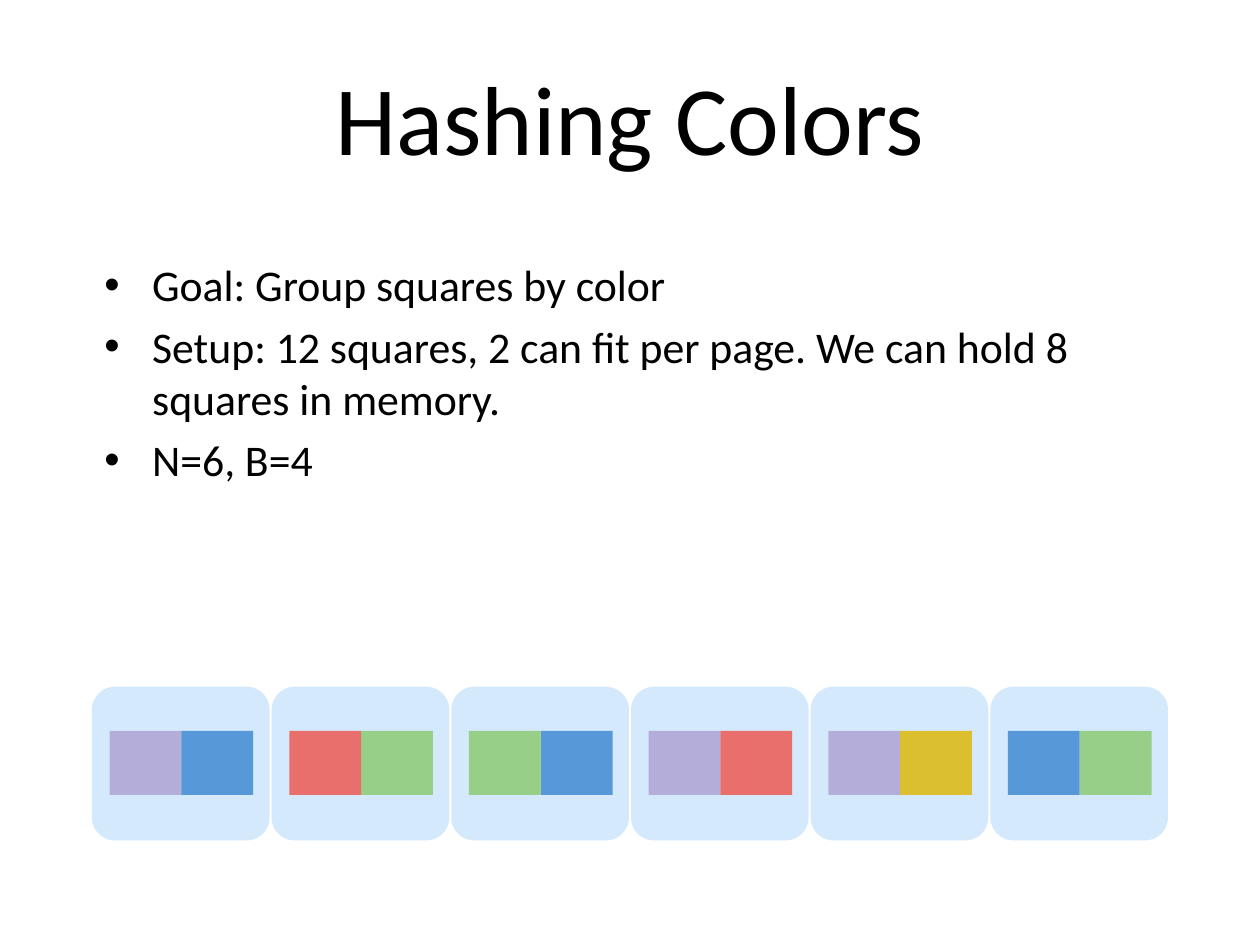
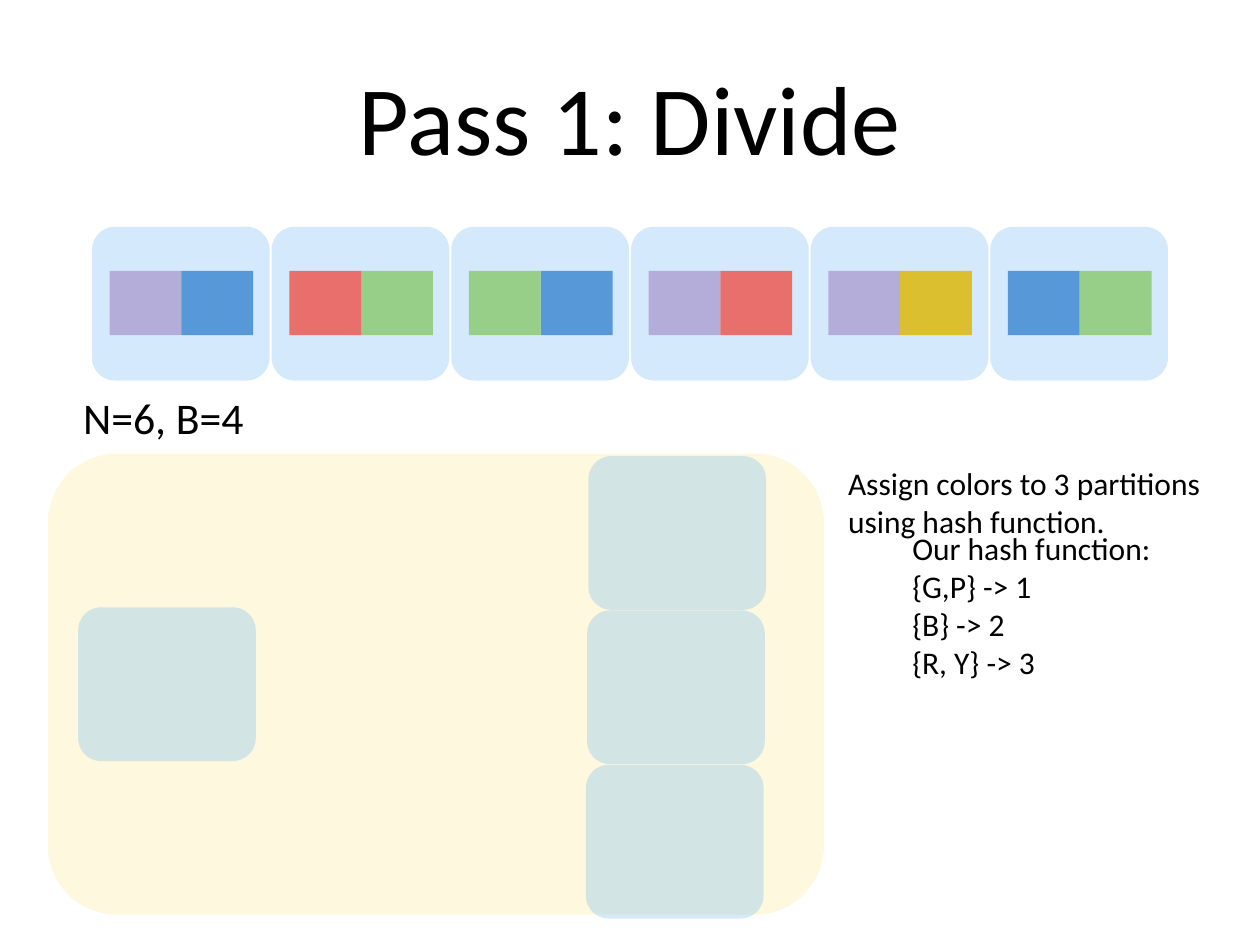
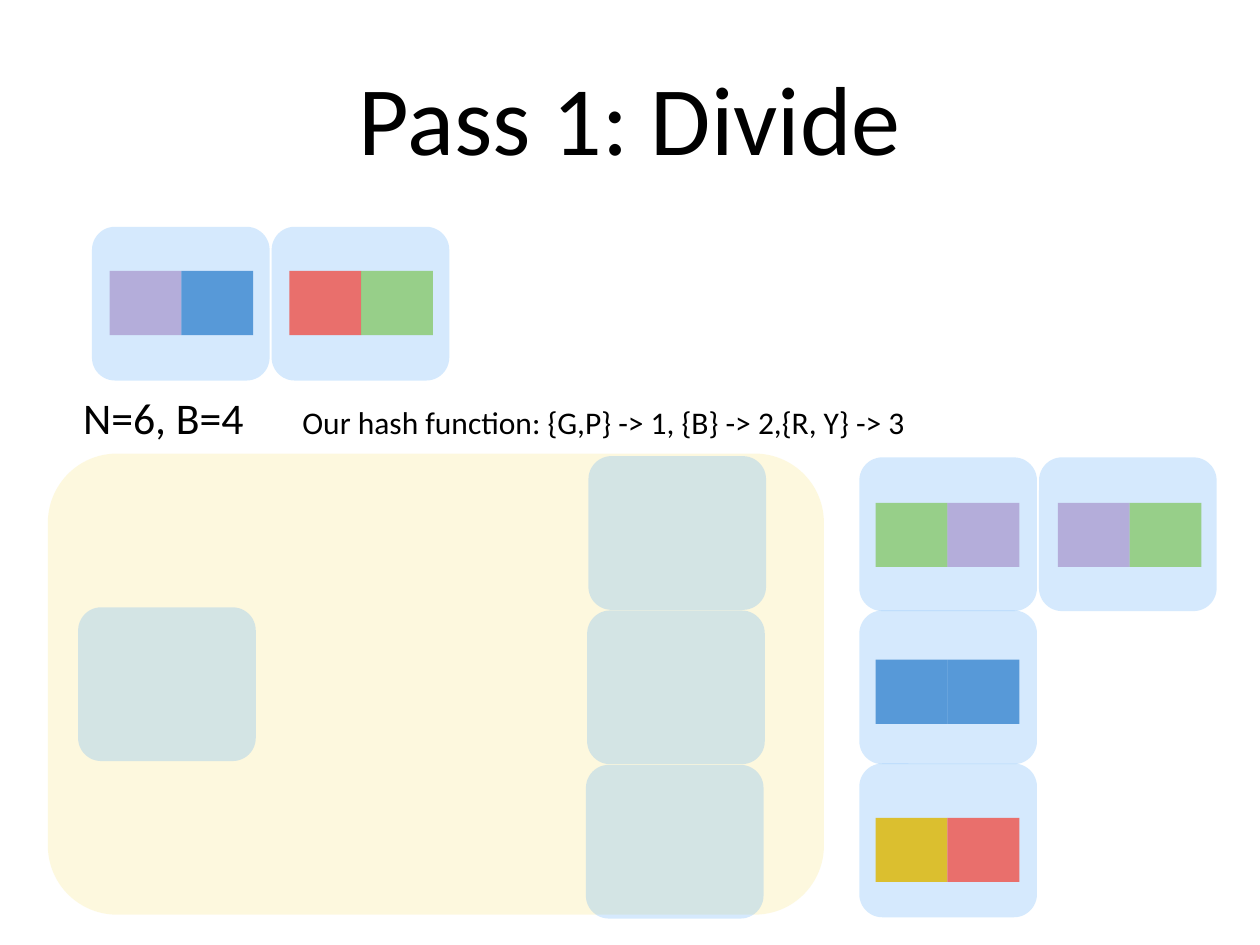
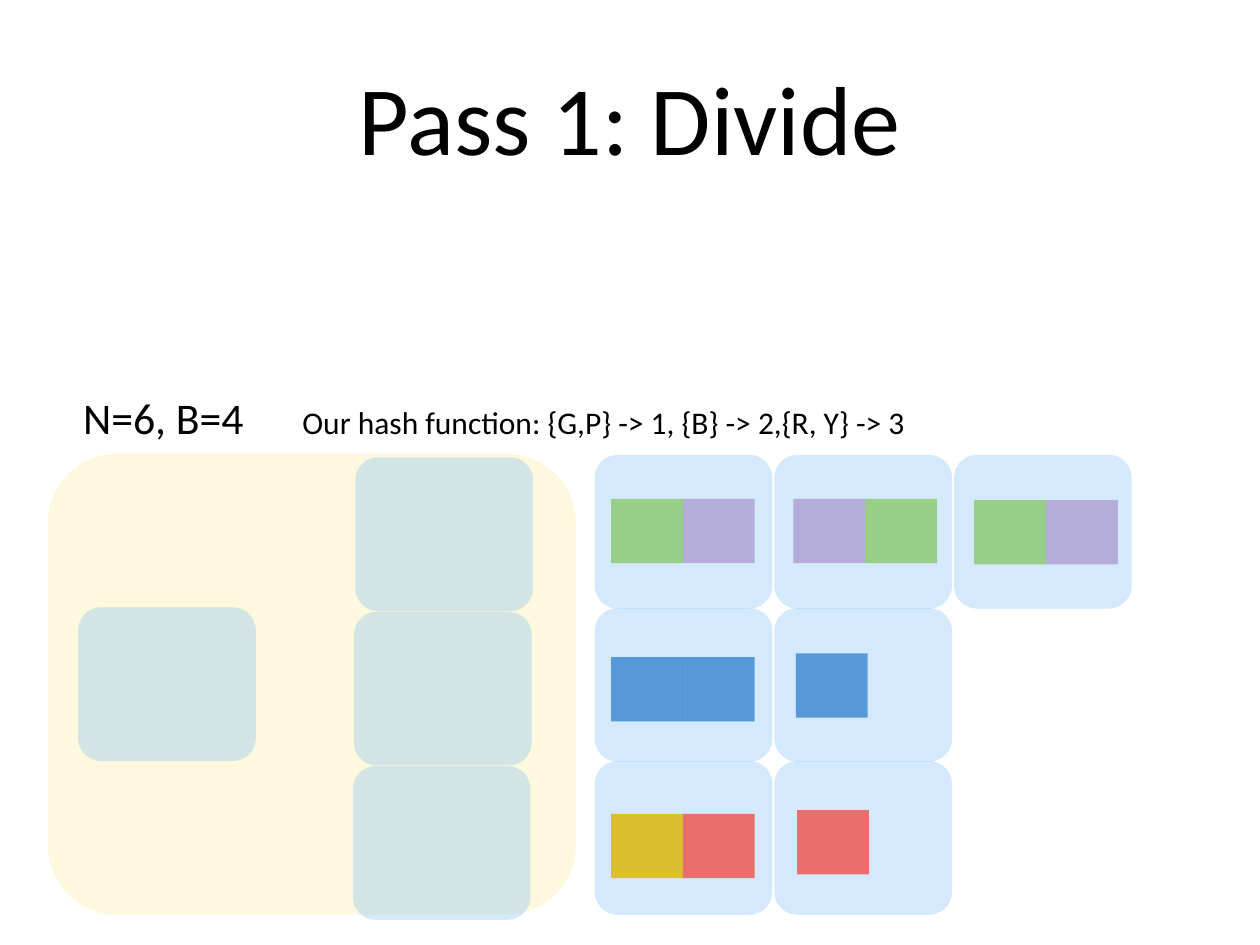
from dataclasses import dataclass

from lxml import etree
from pptx import Presentation
from pptx import util as u
from pptx.dml.color import RGBColor
from pptx.enum import shapes, text
from pptx.oxml.ns import qn


@dataclass(frozen=True)
class Theme:
    font: str = "Calibri"
    ink: str = "000000"
    title_size: int = 56
    body_size: int = 25
    note_size: int = 18
    page: tuple = ("51A7F9", 24)     # colour, opacity in percent
    memory: tuple = ("F5D328", 15)
    corner: float = 0.15


T = Theme()
SQUARES = {
    "P": ("773F9B", 35),
    "B": ("0365C0", 60),
    "R": ("EC5D57", 87),
    "G": ("70BF41", 61),
    "Y": ("DCBD23", 94),
}

# Lengths in inches
PAGE_W, PAGE_H = 1.41, 1.22
SQUARE_W, SQUARE_H = 0.57, 0.51
STRIP_LEFT, STRIP_W = 0.73, 8.54
RELATION = ["PB", "RG", "GB", "PR", "PY", "BG"]
PITCH = (STRIP_W - PAGE_W) / (len(RELATION) - 1)
HASH_LINE = "Our hash function: {G,P} -> 1, {B} -> 2,{R, Y} -> 3"


def add_block(s, kind, box, paint):
    """A borderless shape with a see-through fill."""
    sp = s.shapes.add_shape(kind, *map(u.Inches, box))
    sp.shadow.inherit = False
    sp.line.fill.background()
    sp.fill.solid()
    colour, opacity = paint
    sp.fill.fore_color.rgb = RGBColor.from_string(colour)
    clr = sp.fill._xPr.find(qn("a:solidFill"))[0]
    etree.SubElement(clr, qn("a:alpha")).set("val", str(opacity * 1000))
    return sp


def add_rounded(s, box, paint):
    sp = add_block(s, shapes.MSO_SHAPE.ROUNDED_RECTANGLE, box, paint)
    sp.adjustments[0] = T.corner


def add_text(s, box, lines, size, inset=0.04, wrap=True, middle=False):
    sp = s.shapes.add_textbox(*map(u.Inches, box))
    tf = sp.text_frame
    tf.text = "\n".join(lines)
    tf.word_wrap = wrap
    tf.vertical_anchor = text.MSO_ANCHOR.MIDDLE if middle else text.MSO_ANCHOR.TOP
    tf.margin_left = tf.margin_right = u.Inches(inset)
    tf.margin_top = tf.margin_bottom = u.Inches(min(inset, 0.05))
    for p in tf.paragraphs:
        for r in p.runs:
            r.font.name = T.font
            r.font.size = u.Pt(size)
            r.font.color.rgb = RGBColor.from_string(T.ink)
    return tf


def add_title(s, title):
    tf = add_text(s, (0.5, 0.3, 9, 1.25), [title], T.title_size, 0.1, middle=True)
    tf.paragraphs[0].alignment = text.PP_ALIGN.CENTER


def add_bullets(s, box, lines):
    tf = add_text(s, box, lines, T.body_size, 0.1)
    for p in tf.paragraphs:
        p.space_before = u.Pt(T.body_size * 0.2)
        pPr = p._p.get_or_add_pPr()
        pPr.set("marL", str(u.Inches(0.38)))
        pPr.set("indent", str(-u.Inches(0.38)))
        etree.SubElement(pPr, qn("a:buFont")).set("typeface", "Arial")
        etree.SubElement(pPr, qn("a:buChar")).set("char", "•")


def add_page(s, left, top, squares="", dx=0.14, dy=0.35):
    """One page; dx and dy set its squares in from its corner."""
    add_rounded(s, (left, top, PAGE_W, PAGE_H), T.page)
    for i, key in enumerate(squares):
        add_block(s, shapes.MSO_SHAPE.RECTANGLE,
                  (left + dx + i * SQUARE_W, top + dy, SQUARE_W, SQUARE_H),
                  SQUARES[key])


def add_relation(s, top, pages):
    for i, squares in enumerate(pages):
        add_page(s, STRIP_LEFT + i * PITCH, top, squares)


def add_memory(s, left, top, width, buffers_left, buffers_top):
    """Memory area with one input buffer and three output buffers."""
    add_rounded(s, (left, top, width, 3.66), T.memory)
    add_page(s, left + 0.24, top + PAGE_H)
    for i in range(3):
        add_page(s, buffers_left - 0.01 * i, buffers_top + 1.225 * i)


def add_partitions(s, left, top, rows):
    """Rows of written pages, each page as (squares, dx, dy)."""
    for i, row in enumerate(rows):
        for j, (squares, dx, dy) in enumerate(row):
            add_page(s, left + j * PITCH, top + i * 1.215, squares, dx, dy)


def new_slide(prs, title):
    s = prs.slides.add_slide(prs.slide_layouts[6])
    add_title(s, title)
    return s


def divide_slide(prs, pages, memory_w, buffers_left, buffers_top):
    s = new_slide(prs, "Pass 1: Divide")
    add_text(s, (0.62, 3.06, 1.37, 0.5), ["N=6, B=4"], T.body_size,
             wrap=False, middle=True)
    add_memory(s, 0.38, 3.6, memory_w, buffers_left, buffers_top)
    add_relation(s, 1.8, pages)
    return s


def add_hash_line(s):
    add_text(s, (2.36, 3.16, 5.98, 0.68), [HASH_LINE], T.note_size)


prs = Presentation()
prs.slide_width, prs.slide_height = u.Inches(10), u.Inches(7.5)

# Slide 1: the task
s = new_slide(prs, "Hashing Colors")
add_bullets(s, (STRIP_LEFT, 2, STRIP_W, 2.95), [
    "Goal: Group squares by color",
    "Setup: 12 squares, 2 can fit per page. We can hold 8 squares in memory.",
    "N=6, B=4",
])
add_relation(s, 5.45, RELATION)

# Slide 2: empty buffers and the hash function
s = divide_slide(prs, RELATION, 6.16, 4.67, 3.62)
add_text(s, (6.69, 3.64, 2.91, 0.99),
         ["Assign colors to 3 partitions", "using hash function."],
         T.note_size, wrap=False)
add_text(s, (7.2, 4.16, 1.99, 1.59),
         ["Our hash function:", "{G,P} -> 1", "{B} -> 2", "{R, Y} -> 3"],
         T.note_size, wrap=False)

# Slide 3: two pages left to read
s = divide_slide(prs, RELATION[:2], 6.16, 4.67, 3.62)
add_hash_line(s)
add_partitions(s, 6.82, 3.63, [
    [("GP", 0.13, 0.36), ("PG", 0.15, 0.36)],
    [("BB", 0.13, 0.39)],
    [("YR", 0.13, 0.43)],
])

# Slide 4: all pages partitioned
s = divide_slide(prs, [], 4.19, 2.82, 3.63)
add_hash_line(s)
add_partitions(s, 4.72, 3.61, [
    [("GP", 0.13, 0.35), ("PG", 0.15, 0.35), ("GP", 0.16, 0.36)],
    [("BB", 0.13, 0.39), ("B", 0.17, 0.36)],
    [("YR", 0.13, 0.42), ("R", 0.18, 0.39)],
])

prs.save("out.pptx")
